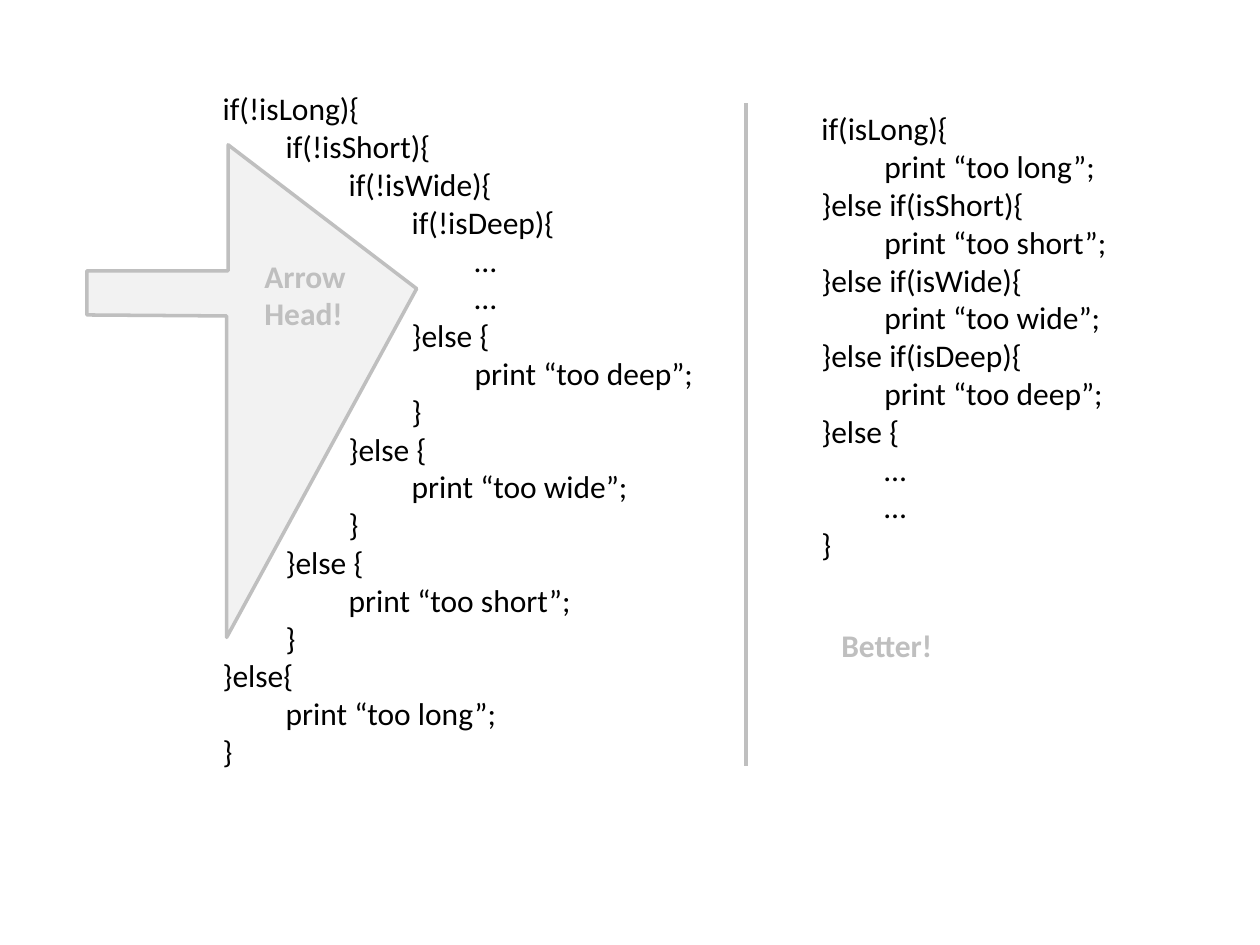
from collections import namedtuple

from lxml.etree import SubElement
from pptx import Presentation
from pptx.dml.color import RGBColor
from pptx.enum.shapes import MSO_CONNECTOR
from pptx.enum.text import MSO_AUTO_SIZE
from pptx.oxml.ns import qn
from pptx.util import Cm, Pt

Box = namedtuple("Box", "left top width height")

COLOURS = {"code": "000000", "accent": "BFBFBF", "arrow": "F2F2F2"}
INDENT = 4
LEVEL_WIDTH = Cm(1.27)

NESTED_CODE = """\
if(!isLong){
    if(!isShort){
        if(!isWide){
            if(!isDeep){
                …
                …
            }else {
                print “too deep”;
            }
        }else {
            print “too wide”;
        }
    }else {
        print “too short”;
    }
}else{
    print “too long”;
}"""

FLAT_CODE = """\
if(isLong){
    print “too long”;
}else if(isShort){
    print “too short”;
}else if(isWide){
    print “too wide”;
}else if(isDeep){
    print “too deep”;
}else {
    …
    …
}"""

ARROW_OUTLINE = [(2.85, 0), (6.65, 2.9), (2.82, 9.93), (2.82, 3.45),
                 (0, 3.43), (0, 2.54), (2.85, 2.54)]


def colour(name):
    return RGBColor.from_string(COLOURS[name])


def add_text(page, text, box, shade="code", bold=False, size=18):
    shape = page.shapes.add_textbox(*map(Cm, box))
    frame = shape.text_frame
    frame.word_wrap = True
    frame.auto_size = MSO_AUTO_SIZE.SHAPE_TO_FIT_TEXT
    for number, line in enumerate(text.splitlines()):
        para = frame.add_paragraph() if number else frame.paragraphs[0]
        code = line.lstrip()
        level = (len(line) - len(code)) // INDENT
        if level:
            para.level = level
            properties = para._p.get_or_add_pPr()
            properties.set("marL", str(level * LEVEL_WIDTH))
            properties.set("indent", "0")
        span = para.add_run()
        span.text = code
        span.font.name = "Calibri"
        span.font.size = Pt(size)
        span.font.bold = bold
        span.font.color.rgb = colour(shade)


def draw_better_panel(page, box):
    add_text(page, FLAT_CODE, Box(box.left, box.top, box.width, 9.5))
    caption = Box(box.left + 0.4, box.top + 10.42, 5.92, 1.02)
    add_text(page, "Better!", caption, shade="accent", bold=True)


def draw_divider(page, box):
    line = page.shapes.add_connector(
        MSO_CONNECTOR.STRAIGHT, Cm(box.left), Cm(box.top),
        Cm(box.left + box.width), Cm(box.top + box.height))
    line.line.color.rgb = colour("accent")
    line.line.width = Pt(2.25)
    SubElement(line._element.spPr, qn("a:effectLst"))


def draw_arrow_head(page, box):
    points = [(Cm(box.left + x), Cm(box.top + y)) for x, y in ARROW_OUTLINE]
    builder = page.shapes.build_freeform(*points[0])
    builder.add_line_segments(points[1:], close=True)
    arrow = builder.convert_to_shape()
    arrow.shadow.inherit = False
    arrow.fill.solid()
    arrow.fill.fore_color.rgb = colour("arrow")
    arrow.line.color.rgb = colour("accent")
    arrow.line.width = Pt(2)
    label = Box(box.left + 3.33, box.top + 2.13, 2.54, 1.8)
    add_text(page, "Arrow Head!", label, shade="accent", bold=True)


def main():
    deck = Presentation()
    deck.slide_width = Cm(25.4)
    deck.slide_height = Cm(19.05)
    page = deck.slides.add_slide(deck.slide_layouts[6])
    add_text(page, NESTED_CODE, Box(4.24, 1.68, 10.8, 14.1))
    draw_better_panel(page, Box(16.31, 2.08, 7.42, 11.44))
    draw_divider(page, Box(15.04, 2.08, 0, 13.36))
    draw_arrow_head(page, Box(1.75, 2.92, 6.65, 9.93))
    deck.save("out.pptx")


if __name__ == "__main__":
    main()
